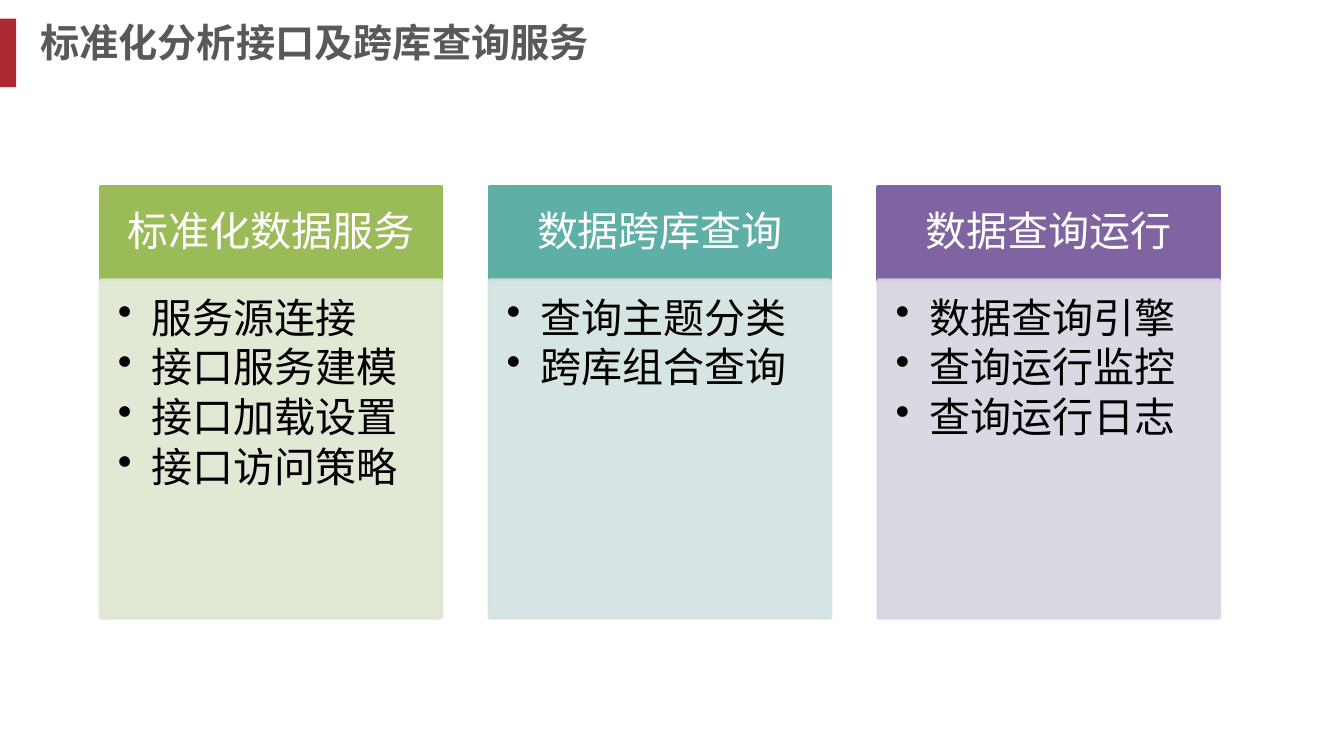
from lxml import etree
from pptx import Presentation
from pptx.dml.color import RGBColor
from pptx.enum.shapes import MSO_SHAPE as SHAPE
from pptx.enum.text import MSO_ANCHOR as ANCHOR, PP_ALIGN as ALIGN
from pptx.oxml.ns import qn
from pptx.util import Pt

RED = RGBColor(0xAD, 0x28, 0x30)
GRAY = RGBColor(0x59, 0x59, 0x59)
WHITE = RGBColor(0xFF, 0xFF, 0xFF)
BLACK = RGBColor(0, 0, 0)
GREEN = RGBColor(0x9B, 0xBB, 0x59)
PALE_GREEN = RGBColor(0xDE, 0xE7, 0xD1)
TEAL = RGBColor(0x5E, 0xAF, 0xA6)
PALE_TEAL = RGBColor(0xD2, 0xE3, 0xE2)
PURPLE = RGBColor(0x80, 0x64, 0xA2)
PALE_PURPLE = RGBColor(0xD8, 0xD3, 0xE0)

COLUMNS = [
    ("标准化数据服务", GREEN, PALE_GREEN,
     ["服务源连接", "接口服务建模", "接口加载设置", "接口访问策略"]),
    ("数据跨库查询", TEAL, PALE_TEAL, ["查询主题分类", "跨库组合查询"]),
    ("数据查询运行", PURPLE, PALE_PURPLE,
     ["数据查询引擎", "查询运行监控", "查询运行日志"]),
]


def add_box(slide, x, y, w, h, color, line=True, alpha=None):
    s = slide.shapes.add_shape(SHAPE.RECTANGLE, Pt(x), Pt(y), Pt(w), Pt(h))
    s.shadow.inherit = False
    s.fill.solid()
    s.fill.fore_color.rgb = color
    if line:
        s.line.color.rgb = color
        s.line.width = Pt(2)
    else:
        s.line.fill.background()
    if alpha:
        for clr in s._element.spPr.iter(qn("a:srgbClr")):
            etree.SubElement(clr, qn("a:alpha"), val=str(alpha * 1000))
    return s


def write(s, lines, size=22, color=BLACK, font="Calibri", bold=False, align=ALIGN.LEFT,
          anchor=ANCHOR.TOP, insets=(0, 0, 0, 0), spacing=None, after=0, bullet=False):
    tf = s.text_frame
    tf.word_wrap = True
    tf.vertical_anchor = anchor
    tf.margin_left, tf.margin_top, tf.margin_right, tf.margin_bottom = map(Pt, insets)
    for i, text in enumerate(lines):
        p = tf.add_paragraph() if i else tf.paragraphs[0]
        p.alignment = align
        p.line_spacing = spacing
        p.space_after = Pt(after)
        if bullet:
            pPr = p._p.get_or_add_pPr()
            pPr.set("marL", str(Pt(18)))
            pPr.set("indent", str(-Pt(18)))
            etree.SubElement(pPr, qn("a:buChar"), char="•")
        r = p.add_run()
        r.text = text
        r.font.size = Pt(size)
        r.font.bold = bold
        r.font.name = font
        r.font.color.rgb = color
        latin = r._r.get_or_add_rPr().find(qn("a:latin"))
        latin.addnext(etree.Element(qn("a:ea"), typeface=font))


def add_title(slide, x, y, w, h, text):
    add_box(slide, x, y, 8.64, h, RED, line=False)
    s = slide.shapes.add_textbox(Pt(x + 14.4), Pt(y), Pt(w), Pt(h))
    write(s, [text], size=21, color=GRAY, font="Noto Sans CJK SC", bold=True,
          insets=(7.2, 0, 7.2, 0))


def add_column(slide, x, y, w, h, heading, color, pale, items):
    head_h = 50
    head = add_box(slide, x, y, w, head_h, color)
    write(head, [heading], color=WHITE, align=ALIGN.CENTER, anchor=ANCHOR.MIDDLE,
          insets=(12.3, 7, 12.3, 7), spacing=0.9)
    body = add_box(slide, x, y + head_h, w, h - head_h, pale, alpha=90)
    write(body, items, insets=(9.24, 9.24, 12.3, 13.9), spacing=0.9, after=3, bullet=True)


def main():
    prs = Presentation()
    prs.slide_width, prs.slide_height = Pt(720), Pt(405)
    slide = prs.slides.add_slide(prs.slide_layouts[6])
    add_title(slide, 0, 10, 595.5, 36.7, "标准化分析接口及跨库查询服务")
    for i, column in enumerate(COLUMNS):
        add_column(slide, 53.9 + i * 208.3, 100.2, 182.7, 230.8, *column)
    prs.save("out.pptx")


if __name__ == "__main__":
    main()
